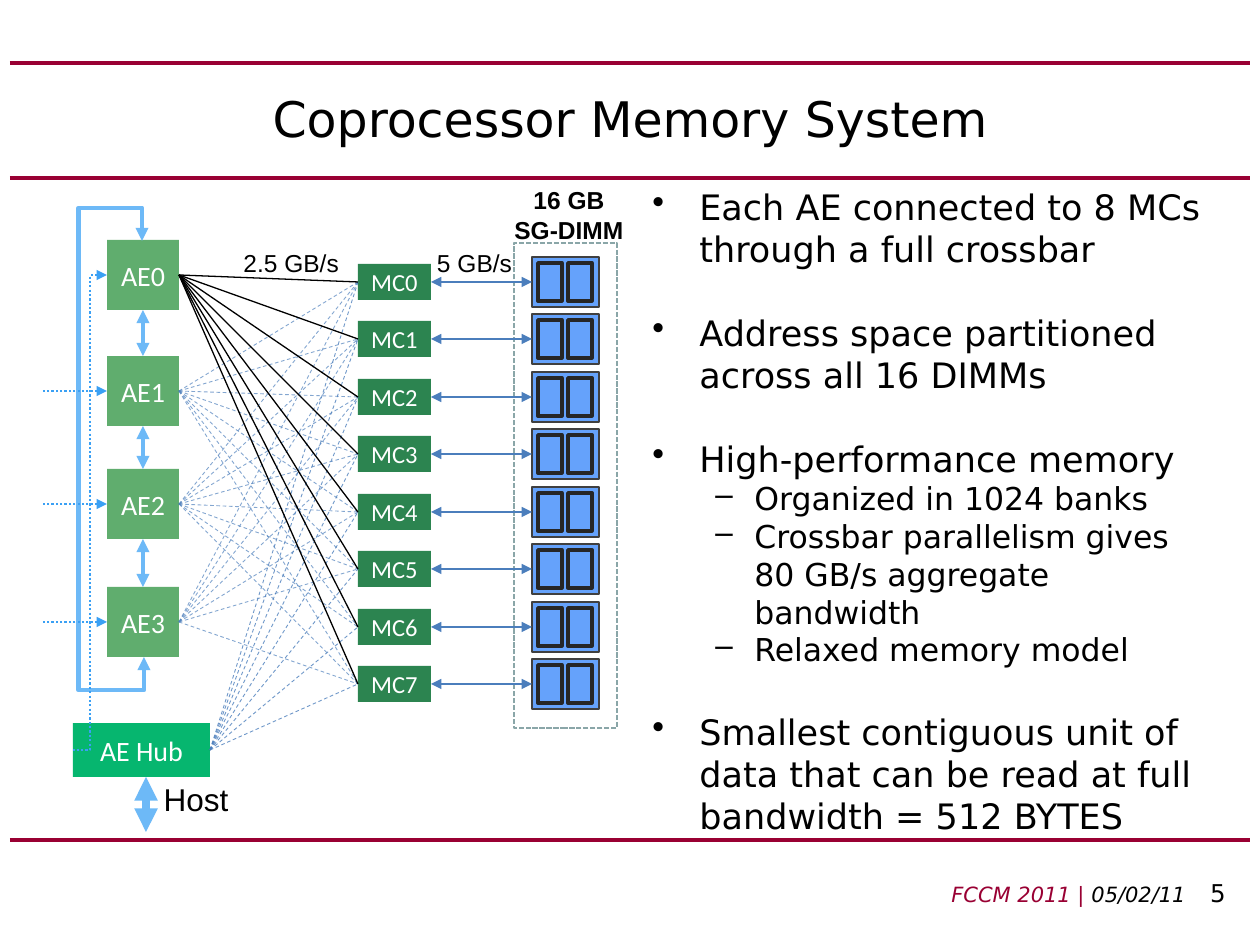
from collections import namedtuple
from dataclasses import dataclass
from itertools import product

from lxml.etree import SubElement
from pptx import Presentation
from pptx.dml.color import RGBColor as Rgb
from pptx.enum.dml import MSO_LINE as Dash
from pptx.enum.shapes import MSO_CONNECTOR as Wire, MSO_SHAPE as Shape
from pptx.enum.text import MSO_ANCHOR as Anchor, PP_ALIGN as Align
from pptx.oxml.ns import qn
from pptx.util import Emu, Pt

Box = namedtuple("Box", "left top width height")
TOP, LEFT, BOTTOM, RIGHT = range(4)


@dataclass(frozen=True)
class Theme:
    rule: str = "990033"
    ink: str = "000000"
    paper: str = "FFFFFF"
    engine: str = "60AD6E"
    controller: str = "2C8450"
    hub: str = "06B66F"
    dimm: str = "65A2FB"
    dimm_edge: str = "404040"
    chip_edge: str = "262626"
    frame: str = "8AA6A8"
    mesh: str = "4F81BD"
    bus: str = "4B7EBC"
    ring: str = "6DB9F7"
    control: str = "3AA0F4"
    main_font: str = "DejaVu Sans"
    box_font: str = "Calibri"
    label_font: str = "Arial"
    title_size: int = 28
    body_size: int = 20
    sub_size: int = 18
    box_size: int = 16
    small_size: int = 14
    footer_size: int = 12


THEME = Theme()


def px(length):
    return Emu(round(length * 914400 / 126))


def write(para, text, size, font=THEME.main_font, color=THEME.ink, bold=False, italic=False):
    span = para.add_run()
    span.text = text
    span.font.size = Pt(size)
    span.font.name = font
    span.font.bold = bold
    span.font.italic = italic
    span.font.color.rgb = Rgb.from_string(color)


def add_text_box(page, box, anchor=Anchor.TOP):
    frame = page.shapes.add_textbox(*map(px, box)).text_frame
    frame.word_wrap = True
    frame.vertical_anchor = anchor
    return frame


def add_label(page, box, lines, align=Align.CENTER, size=THEME.small_size, **look):
    frame = add_text_box(page, box)
    for index, line in enumerate(lines):
        para = frame.add_paragraph() if index else frame.paragraphs[0]
        para.alignment = align
        write(para, line, size, font=THEME.label_font, **look)


def add_block(page, box, fill=None, edge=None, weight=1, dash=None, text="", size=THEME.box_size):
    block = page.shapes.add_shape(Shape.RECTANGLE, *map(px, box))
    block.shadow.inherit = False
    if fill:
        block.fill.solid()
        block.fill.fore_color.rgb = Rgb.from_string(fill)
    else:
        block.fill.background()
    if edge:
        block.line.color.rgb = Rgb.from_string(edge)
        block.line.width = Pt(weight)
        block.line.dash_style = dash
    else:
        block.line.fill.background()
    if text:
        frame = block.text_frame
        frame.word_wrap = False
        frame.vertical_anchor = Anchor.MIDDLE
        frame.paragraphs[0].alignment = Align.CENTER
        write(frame.paragraphs[0], text, size, font=THEME.box_font, color=THEME.paper)
    return block


def add_wire(page, start, end, color, weight, dash=None, alpha=None, ends=(), kind=Wire.STRAIGHT):
    wire = page.shapes.add_connector(kind, *map(px, (*start, *end)))
    wire.line.color.rgb = Rgb.from_string(color)
    wire.line.width = Pt(weight)
    wire.line.dash_style = dash
    outline = wire.line._get_or_add_ln()
    if alpha:
        SubElement(outline.find(".//" + qn("a:srgbClr")), qn("a:alpha"), val=str(alpha * 1000))
    for end_name in ends:
        SubElement(outline, qn("a:" + end_name), type="triangle")
    SubElement(wire._element.spPr, qn("a:effectLst"))
    return wire


def join(page, first, first_side, second, second_side, **look):
    wire = add_wire(page, (0, 0), (0, 0), **look)
    wire.begin_connect(first, first_side)
    wire.end_connect(second, second_side)


def bend(wire, preset, adjustments, rotation=0):
    properties = wire._element.spPr
    properties.find(qn("a:xfrm")).set("rot", str(rotation * 60000))
    geometry = properties.find(qn("a:prstGeom"))
    geometry.set("prst", preset)
    guides = geometry.find(qn("a:avLst"))
    if guides is None:
        guides = SubElement(geometry, qn("a:avLst"))
    for number, value in enumerate(adjustments, 1):
        name = "adj" if len(adjustments) == 1 else f"adj{number}"
        SubElement(guides, qn("a:gd"), name=name, fmla=f"val {round(value * 100000)}")


BOTH = ("headEnd", "tailEnd")


def draw_rules(page, box):
    for offset in (0, 115, box.height):
        y = box.top + offset
        add_wire(page, (box.left, y), (box.left + box.width, y), THEME.rule, 2.25)


def draw_title(page, box):
    para = add_text_box(page, box, Anchor.MIDDLE).paragraphs[0]
    para.alignment = Align.CENTER
    write(para, "Coprocessor Memory System", THEME.title_size)


def draw_engines(page, box):
    left, top = box.left, box.top
    side, engine_left = 70, left + 65
    centres = [top + offset for offset in (65, 181, 294, 412)]
    engines = [
        add_block(page, Box(engine_left, y - side // 2, 72, side), THEME.engine, text=f"AE{index}")
        for index, y in enumerate(centres)
    ]
    hub = add_block(page, Box(left + 31, top + 513, 137, 54), THEME.hub, text="AE Hub")
    for upper, lower in zip(engines, engines[1:]):
        join(page, upper, BOTTOM, lower, TOP, color=THEME.ring, weight=2.5, ends=BOTH)

    middle_x, middle_y, span, rise = left + 101, top + 239, 416, 2
    ring = add_wire(
        page, (middle_x + span // 2, middle_y - 1), (middle_x - span // 2, middle_y + 1),
        THEME.ring, 2.5, ends=BOTH, kind=Wire.ELBOW,
    )
    bend(ring, "bentConnector5", (-0.08, -64 / rise, 1.08), rotation=270)

    control = dict(color=THEME.control, weight=1.25, dash=Dash.ROUND_DOT, ends=("headEnd",))
    trunk = add_wire(
        page, (engine_left, centres[0]), (left + 31, top + 540), kind=Wire.ELBOW, **control
    )
    bend(trunk, "bentConnector3", (65 / 34,))
    for y in centres[1:]:
        add_wire(page, (engine_left, y), (left, y), **control)

    host_x = left + 104
    add_wire(page, (host_x, top + 567), (host_x, top + 622), THEME.ring, 4.5, ends=BOTH)
    add_label(page, Box(left + 88, top + 564, 132, 63), ["Host"], size=THEME.sub_size)
    return engines, hub


def draw_memory(page, box):
    left, top = box.left, box.top
    dimm_left = left + 174
    add_block(page, Box(left + 156, top + 64, 103, 485), edge=THEME.frame, dash=Dash.SQUARE_DOT)
    controllers = []
    for index in range(8):
        y = top + 103 + index * 115 // 2
        controller = add_block(
            page, Box(left, y - 18, 73, 36), THEME.controller,
            text=f"MC{index}", size=THEME.small_size,
        )
        dimm = add_block(page, Box(dimm_left, y - 25, 67, 50), THEME.dimm, THEME.dimm_edge, 0.75)
        for offset in (6, 36):
            chip = Box(dimm_left + offset, y - 19, 24, 38)
            add_block(page, chip, THEME.dimm, THEME.chip_edge, 2)
        join(page, controller, RIGHT, dimm, LEFT, color=THEME.bus, weight=1.5, ends=BOTH)
        controllers.append(controller)
    add_label(page, Box(left + 56, top + 63, 121, 43), ["5 GB/s"])
    add_label(page, Box(left + 136, top, 150, 72), ["16 GB", "SG-DIMM"], bold=True)
    return controllers


def draw_crossbar(page, box, engines, hub, controllers):
    mesh = dict(weight=0.5, dash=Dash.DASH)
    for engine, controller in product(engines[1:], controllers):
        if (engine, controller) != (engines[3], controllers[6]):
            join(page, engine, RIGHT, controller, LEFT, color=THEME.mesh, alpha=70, **mesh)
    for controller in controllers:
        join(page, hub, RIGHT, controller, LEFT, color=THEME.bus, alpha=80, **mesh)
        join(page, engines[0], RIGHT, controller, LEFT, color=THEME.ink, weight=0.75)
    add_label(page, box, ["2.5 GB/s"], align=Align.LEFT)


def draw_points(page, box):
    points = [
        (0, "Each AE connected to 8 MCs through a full crossbar"),
        (0, "Address space partitioned across all 16 DIMMs"),
        (0, "High-performance memory"),
        (1, "Organized in 1024 banks"),
        (1, "Crossbar parallelism gives 80 GB/s aggregate bandwidth"),
        (1, "Relaxed memory model"),
        (0, "Smallest contiguous unit of data that can be read at full bandwidth = 512 BYTES"),
    ]
    levels = [("•", 47, 47, THEME.body_size), ("–", 102, 39, THEME.sub_size)]
    frame = add_text_box(page, box)
    for index, (level, text) in enumerate(points):
        bullet, margin, hanging, size = levels[level]
        para = frame.add_paragraph() if index else frame.paragraphs[0]
        properties = para._p.get_or_add_pPr()
        properties.set("marL", str(px(margin)))
        properties.set("indent", str(-px(hanging)))
        SubElement(properties, qn("a:buChar"), char=bullet)
        if index and level == 0:
            para.space_before = Pt(24)
        write(para, text, size)


def draw_footer(page, box):
    para = add_text_box(page, box).paragraphs[0]
    para.alignment = Align.RIGHT
    write(para, "FCCM 2011 | ", THEME.footer_size, color=THEME.rule, italic=True)
    write(para, "05/02/11\t ", THEME.footer_size, italic=True)
    write(para, "5", THEME.small_size)


def main():
    deck = Presentation()
    deck.slide_width, deck.slide_height = px(1260), px(945)
    page = deck.slides.add_slide(deck.slide_layouts[6])
    draw_rules(page, Box(10, 63, 1240, 777))
    draw_title(page, Box(63, 63, 1134, 110))
    engines, hub = draw_engines(page, Box(42, 210, 168, 622))
    controllers = draw_memory(page, Box(358, 179, 259, 549))
    draw_crossbar(page, Box(231, 242, 147, 43), engines, hub, controllers)
    draw_points(page, Box(640, 179, 588, 651))
    draw_footer(page, Box(388, 872, 850, 42))
    deck.save("out.pptx")


if __name__ == "__main__":
    main()
